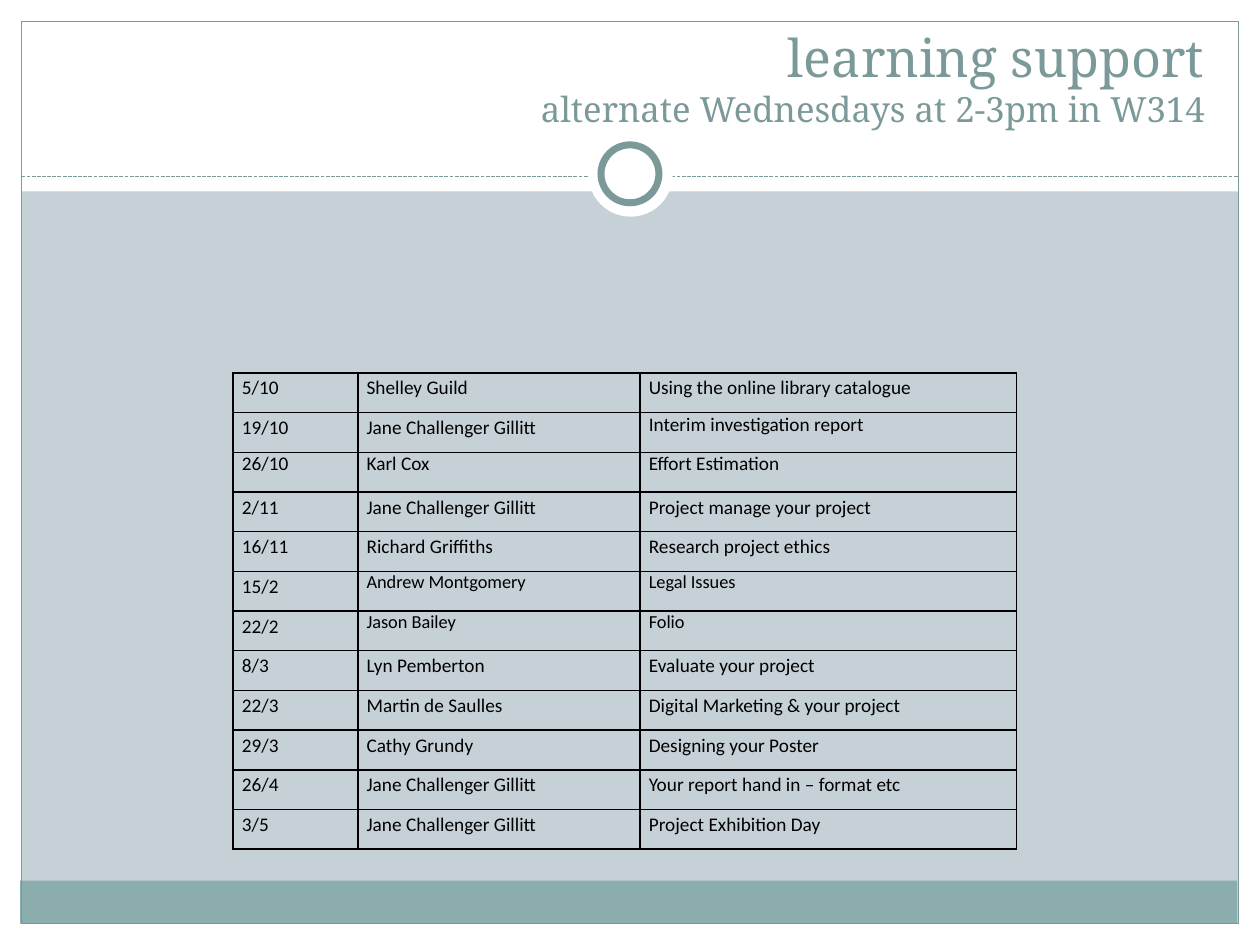
"""Build the learning support timetable slide."""
from lxml import etree
from pptx import Presentation
from pptx.dml.color import RGBColor
from pptx.enum import dml, shapes, text
from pptx.oxml import ns
from pptx.util import Inches, Pt

COLOURS = {"back": "C5D1D7", "white": "FFFFFF", "band": "8CADAE",
           "line": "7C999A", "black": "000000"}
SESSIONS = [
    ("5/10", "Shelley Guild", "Using the online library catalogue"),
    ("19/10", "Jane Challenger Gillitt", "Interim investigation report"),
    ("26/10", "Karl Cox", "Effort Estimation"),
    ("2/11", "Jane Challenger Gillitt", "Project manage your project"),
    ("16/11", "Richard Griffiths", "Research project ethics"),
    ("15/2", "Andrew Montgomery", "Legal Issues"),
    ("22/2", "Jason Bailey", "Folio"),
    ("8/3", "Lyn Pemberton ", "Evaluate your project"),
    ("22/3", "Martin de Saulles", "Digital Marketing & your project"),
    ("29/3", "Cathy Grundy", "Designing your Poster"),
    ("26/4", "Jane Challenger Gillitt", "Your report hand in – format etc"),
    ("3/5", "Jane Challenger Gillitt", "Project Exhibition Day"),
]
SINGLE_SPACED = {"Interim investigation report", "26/10", "Karl Cox", "Effort Estimation"}
SMALL = {"Andrew Montgomery", "Legal Issues", "Jason Bailey", "Folio"}


def colour(name):
    return RGBColor.from_string(COLOURS[name])


def style_span(span, face, size, tint):
    for key, value in {"name": face, "size": Pt(size), "bold": False}.items():
        setattr(span.font, key, value)
    span.font.color.rgb = colour(tint)


deck = Presentation()
deck.slide_width, deck.slide_height = Inches(10), Inches(7.5)
page = deck.slides.add_slide(deck.slide_layouts[5])
page.background.fill.solid()
page.background.fill.fore_color.rgb = colour("back")

RECT, OVAL = shapes.MSO_SHAPE.RECTANGLE, shapes.MSO_SHAPE.OVAL
FRAME = [
    (RECT, (0, 7.33, 10, 0.17), "white", 0),
    (RECT, (0, 0, 10, 1.52), "white", 0),
    (RECT, (0, 0, 0.17, 7.5), "white", 0),
    (RECT, (9.83, 0, 0.17, 7.5), "white", 0),
    (RECT, (0.16, 6.99, 9.66, 0.34), "band", 0),
    (RECT, (0.17, 0.17, 9.66, 7.16), None, 0.75),
    ("divider", (0.17, 1.4, 9.83, 1.4), None, 0.75),
    (OVAL, (4.67, 1.05, 0.67, 0.67), "white", 0),
    (OVAL, (4.77, 1.15, 0.46, 0.46), "white", 4),
]
for kind, place, fill, width in FRAME:
    lengths = [Inches(value) for value in place]
    if kind == "divider":
        part = page.shapes.add_connector(shapes.MSO_CONNECTOR.STRAIGHT, *lengths)
        part.line.dash_style = dml.MSO_LINE.SQUARE_DOT
        etree.SubElement(part.element.spPr, ns.qn("a:effectLst"))
    else:
        part = page.shapes.add_shape(kind, *lengths)
        part.shadow.inherit = False
        if fill:
            part.fill.solid()
            part.fill.fore_color.rgb = colour(fill)
        else:
            part.fill.background()
    if width:
        part.line.color.rgb = colour("line")
        part.line.width = Pt(width)
    else:
        part.line.fill.background()

title = page.shapes.title
title.element.getparent().append(title.element)
for key, value in {"left": 0.33, "top": 0.25, "width": 9.33, "height": 0.83}.items():
    setattr(title, key, Inches(value))
for key, value in {"vertical_anchor": text.MSO_ANCHOR.BOTTOM, "word_wrap": True,
                   "auto_size": text.MSO_AUTO_SIZE.NONE}.items():
    setattr(title.text_frame, key, value)
para = title.text_frame.paragraphs[0]
para.alignment = text.PP_ALIGN.RIGHT
for words, size in (("learning support", 29.7),
                    ("alternate Wednesdays at 2-3pm in W314", 19.8)):
    if para.runs:
        para.add_line_break()
    span = para.add_run()
    span.text = words
    style_span(span, "Noto Serif", size, "line")

COLUMNS = [0.99, 2.24, 2.99]
ROW_HEIGHT = 0.315
table = page.shapes.add_table(
    len(SESSIONS), len(COLUMNS), Inches(1.85), Inches(2.96),
    Inches(sum(COLUMNS)), Inches(ROW_HEIGHT * len(SESSIONS))).table
table.first_row = table.horz_banding = False
for column, width in zip(table.columns, COLUMNS):
    column.width = Inches(width)
for row, session in zip(table.rows, SESSIONS):
    row.height = Inches(ROW_HEIGHT)
    for cell, words in zip(row.cells, session):
        for side, inset in {"left": 0.07, "right": 0.07, "top": 0, "bottom": 0}.items():
            setattr(cell, f"margin_{side}", Inches(inset))
        para = cell.text_frame.paragraphs[0]
        para.line_spacing = 1.0 if words in SINGLE_SPACED | SMALL else 1.15
        span = para.add_run()
        span.text = words
        style_span(span, "Calibri", 10.5 if words in SMALL else 11, "black")
        borders = cell.fill and cell._tc.get_or_add_tcPr()
        for edge in ("lnL", "lnR", "lnT", "lnB"):
            border = etree.SubElement(borders, ns.qn(f"a:{edge}"), w=str(Pt(1)))
            paint = etree.SubElement(border, ns.qn("a:solidFill"))
            etree.SubElement(paint, ns.qn("a:srgbClr"), val=COLOURS["black"])
        cell.fill.background()

deck.save("out.pptx")
